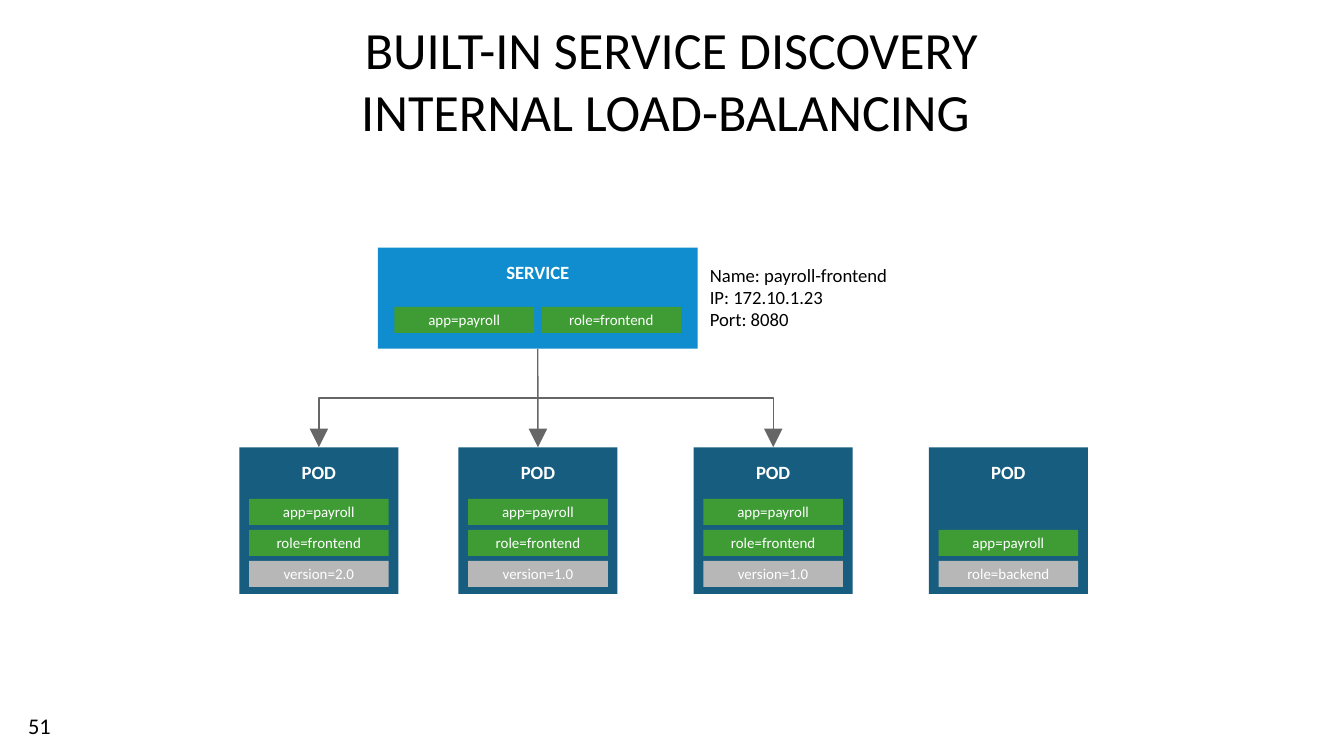
"""Build the slide on built-in service discovery and internal load-balancing."""
from dataclasses import dataclass

from lxml import etree
from pptx import Presentation
from pptx.dml.color import RGBColor
from pptx.enum import shapes, text
from pptx.oxml.ns import qn
from pptx.util import Pt


@dataclass(frozen=True)
class Theme:
    font: str = "Calibri"
    ink: str = "000000"
    paper: str = "FFFFFF"
    service: str = "0F8DCE"
    pod: str = "165D80"
    match: str = "3F9C35"
    other: str = "B7B7B7"
    arrow: str = "666666"
    title_size: float = 28
    number_size: float = 12
    body_size: float = 10
    tag_size: float = 8
    line_width: float = 0.75


THEME = Theme()
TITLE = "BUILT-IN SERVICE DISCOVERY\vINTERNAL LOAD-BALANCING "
PAGE_NUMBER = "51"
ENDPOINT = ["Name: payroll-frontend", "IP: 172.10.1.23", "Port: 8080"]
SELECTOR = ["app=payroll", "role=frontend"]
PODS = [
    (128.2, ["app=payroll", "role=frontend", "version=2.0"]),
    (245.6, ["app=payroll", "role=frontend", "version=1.0"]),
    (371.6, ["app=payroll", "role=frontend", "version=1.0"]),
    (497.6, ["app=payroll", "role=backend"]),
]

SERVICE_LEFT, SERVICE_TOP, SERVICE_WIDTH, SERVICE_HEIGHT = 202.4, 132.7, 171.4, 54.2
POD_TOP, POD_WIDTH, POD_HEIGHT = 239.6, 85.2, 78.6
TAG_WIDTH, TAG_HEIGHT, TAG_PITCH, TAG_GAP = 74.8, 14, 16.6, 4
LAST_TAG_TOP = 300.5
INSET = 7.2


def write(shape, content, size, color, align, anchor, inset=INSET, bold=False):
    frame = shape.text_frame
    frame.word_wrap = True
    frame.vertical_anchor = anchor
    frame.margin_left = frame.margin_right = Pt(inset)
    frame.margin_top = frame.margin_bottom = Pt(inset)
    frame.text = content
    for paragraph in frame.paragraphs:
        paragraph.alignment = align
        for run in paragraph.runs:
            run.font.name = THEME.font
            run.font.size = Pt(size)
            run.font.bold = bold
            run.font.color.rgb = RGBColor.from_string(color)


def add_label(slide, box, content, size, align, anchor):
    label = slide.shapes.add_textbox(*map(Pt, box))
    write(label, content, size, THEME.ink, align, anchor)


def add_block(slide, box, fill):
    block = slide.shapes.add_shape(shapes.MSO_SHAPE.RECTANGLE, *map(Pt, box))
    block.shadow.inherit = False
    block.fill.solid()
    block.fill.fore_color.rgb = RGBColor.from_string(fill)
    block.line.fill.background()
    return block


def add_card(slide, box, fill, heading):
    card = add_block(slide, box, fill)
    write(card, heading, THEME.body_size, THEME.paper,
          text.PP_ALIGN.CENTER, text.MSO_ANCHOR.TOP, bold=True)
    return card


def add_tag(slide, left, top, label):
    fill = THEME.match if label in SELECTOR else THEME.other
    tag = add_block(slide, (left, top, TAG_WIDTH, TAG_HEIGHT), fill)
    write(tag, label, THEME.tag_size, THEME.paper,
          text.PP_ALIGN.CENTER, text.MSO_ANCHOR.MIDDLE, inset=0)


def add_arrow(slide, service, pod):
    start_x = SERVICE_LEFT + SERVICE_WIDTH / 2
    start_y = SERVICE_TOP + SERVICE_HEIGHT
    end_x = pod.left.pt + POD_WIDTH / 2
    run, drop = end_x - start_x, POD_TOP - start_y
    if abs(run) < 1:
        arrow = slide.shapes.add_connector(
            shapes.MSO_CONNECTOR.STRAIGHT, *map(Pt, (start_x, start_y, end_x, POD_TOP)))
        arrow.begin_connect(service, 2)
        arrow.end_connect(pod, 0)
    else:
        side = 1 if run > 0 else -1
        mid_x, mid_y = (start_x + end_x) / 2, (start_y + POD_TOP) / 2
        half_run, half_drop = abs(run) / 2, side * drop / 2
        arrow = slide.shapes.add_connector(
            shapes.MSO_CONNECTOR.ELBOW,
            *map(Pt, (mid_x + half_drop, mid_y - half_run,
                      mid_x - half_drop, mid_y + half_run)))
        turn = 270 if side > 0 else 90
        arrow._element.spPr.find(qn("a:xfrm")).set("rot", str(turn * 60000))
    arrow.line.color.rgb = RGBColor.from_string(THEME.arrow)
    arrow.line.width = Pt(THEME.line_width)
    head = etree.SubElement(arrow.line._get_or_add_ln(), qn("a:tailEnd"))
    head.set("type", "triangle")
    head.set("w", "lg")
    head.set("len", "lg")
    etree.SubElement(arrow._element.spPr, qn("a:effectLst"))


def main():
    deck = Presentation()
    deck.slide_width, deck.slide_height = Pt(720), Pt(405)
    slide = deck.slides.add_slide(deck.slide_layouts[6])

    add_label(slide, (64.8, 0, 589.6, 83.5), TITLE, THEME.title_size,
              text.PP_ALIGN.CENTER, text.MSO_ANCHOR.BOTTOM)

    service = add_card(slide, (SERVICE_LEFT, SERVICE_TOP, SERVICE_WIDTH, SERVICE_HEIGHT),
                       THEME.service, "SERVICE")
    tags_width = len(SELECTOR) * (TAG_WIDTH + TAG_GAP) - TAG_GAP
    first_tag = SERVICE_LEFT + (SERVICE_WIDTH - tags_width) / 2
    for column, label in enumerate(SELECTOR):
        add_tag(slide, first_tag + column * (TAG_WIDTH + TAG_GAP), 164.4, label)
    add_label(slide, (373.2, 133.9, 182.9, 54), "\n".join(ENDPOINT), THEME.body_size,
              text.PP_ALIGN.LEFT, text.MSO_ANCHOR.TOP)

    for left, labels in PODS:
        pod = add_card(slide, (left, POD_TOP, POD_WIDTH, POD_HEIGHT), THEME.pod, "POD")
        for row, label in enumerate(reversed(labels)):
            add_tag(slide, left + (POD_WIDTH - TAG_WIDTH) / 2,
                    LAST_TAG_TOP - row * TAG_PITCH, label)
        if set(SELECTOR) <= set(labels):
            add_arrow(slide, service, pod)

    add_label(slide, (8, 373, 33, 31), PAGE_NUMBER, THEME.number_size,
              text.PP_ALIGN.LEFT, text.MSO_ANCHOR.MIDDLE)
    deck.save("out.pptx")


if __name__ == "__main__":
    main()
